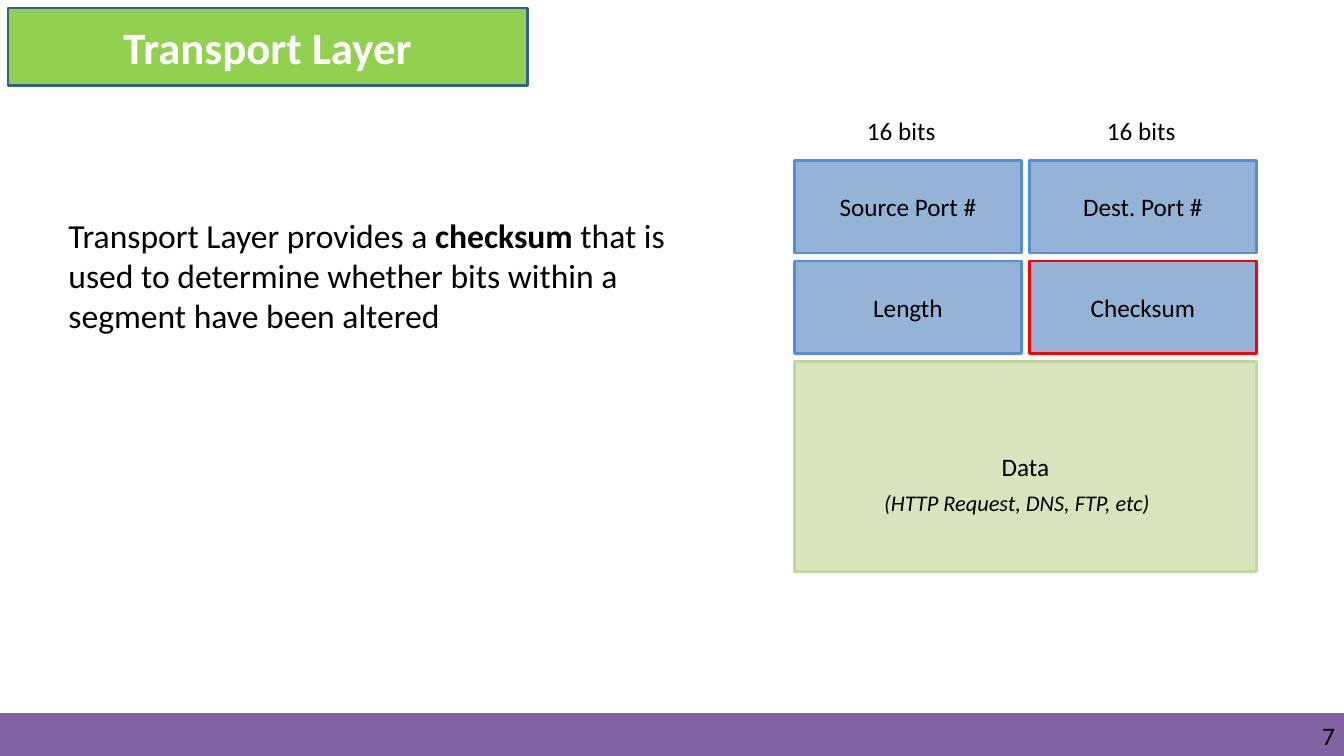
from pptx import Presentation
from pptx.dml.color import RGBColor
from pptx.enum.shapes import MSO_SHAPE as Shape
from pptx.enum.text import MSO_ANCHOR as Anchor, MSO_AUTO_SIZE as Auto, PP_ALIGN as Align
from pptx.util import Pt

SCALE = 9144
WIDE, HIGH = 1333, 750
BLACK, WHITE = "000000", "FFFFFF"


def px(*nums):
    return [n * SCALE for n in nums]


def color(code):
    return RGBColor.from_string(code)


def paint(shape, fill, line, width=2):
    shape.fill.solid()
    shape.fill.fore_color.rgb = color(fill)
    shape.line.color.rgb = color(line)
    shape.line.width = Pt(width)


def write(shape, parts, size, align=Align.LEFT, anchor=Anchor.TOP, ink=BLACK):
    frame = shape.text_frame
    frame.word_wrap = True
    frame.auto_size = Auto.NONE
    frame.vertical_anchor = anchor
    para = frame.paragraphs[0]
    para.alignment = align
    for text, bold in parts:
        run = para.add_run()
        run.text = text
        if bold:
            run.font.bold = True
    font = para.font
    font.name = "Calibri"
    font.size = Pt(size)
    font.color.rgb = color(ink)
    return para


def label(slide, box, text, size=18, align=Align.LEFT):
    shape = slide.shapes.add_textbox(*px(*box))
    return shape, write(shape, [(text, False)], size, align)


def block(slide, box, text, fill, line, width=2):
    shape = slide.shapes.add_shape(Shape.RECTANGLE, *px(*box))
    shape.shadow.inherit = False
    paint(shape, fill, line, width)
    if text:
        write(shape, [(text, False)], 18, Align.CENTER, Anchor.MIDDLE)


def footer(slide, box, number):
    left, top, width, height = box
    block(slide, box, "", "8064A2", "8064A2", 1)
    spot = (left + width - 316, top + 7, 307, 30)
    shape, _ = label(slide, spot, number, align=Align.RIGHT)
    frame = shape.text_frame
    frame.margin_left = frame.margin_right = 0
    frame.margin_top = frame.margin_bottom = 0


def header(slide, box):
    title = slide.shapes.title
    title.left, title.top, title.width, title.height = px(*box)
    paint(title, "92D050", "3A5F8C")
    para = write(title, [("Transport Layer", False)], 32,
                 Align.CENTER, Anchor.MIDDLE, WHITE)
    para.font.bold = True


def body(slide, box):
    shape = slide.shapes.add_textbox(*px(*box))
    write(shape, [
        ("Transport Layer provides a ", False),
        ("checksum", True),
        (" that is used to determine whether bits within a segment have been altered", False),
    ], 24)


def segment(slide, box):
    left, top, width, height = box
    cell, tall, gap = 225, 92, 8
    fields = [["Source Port #", "Dest. Port #"], ["Length", "Checksum"]]
    for row, names in enumerate(fields):
        for col, name in enumerate(names):
            spot = (left + col * (cell + gap), top + row * (tall + gap), cell, tall)
            line = "FF0000" if name == "Checksum" else "558ED5"
            block(slide, spot, name, "95B3D7", line)
    down = 2 * (tall + gap)
    block(slide, (left, top + down, width, height - down), "Data", "D7E4BD", "C3D69B")
    for shift in (62, 300):
        label(slide, (left + shift, top - 50, 95, 40), "16 bits")
    _, note = label(slide, (left + 79, top + 321, 341, 37),
                    "(HTTP Request, DNS, FTP, etc)", 16)
    note.font.italic = True


def main():
    deck = Presentation()
    deck.slide_width, deck.slide_height = px(WIDE, HIGH)
    slide = deck.slides.add_slide(deck.slide_layouts[5])
    footer(slide, (0, 708, WIDE, 42), "7")
    header(slide, (8, 8, 515, 77))
    segment(slide, (788, 159, 458, 408))
    body(slide, (58, 208, 671, 131))
    deck.save("out.pptx")


if __name__ == "__main__":
    main()
